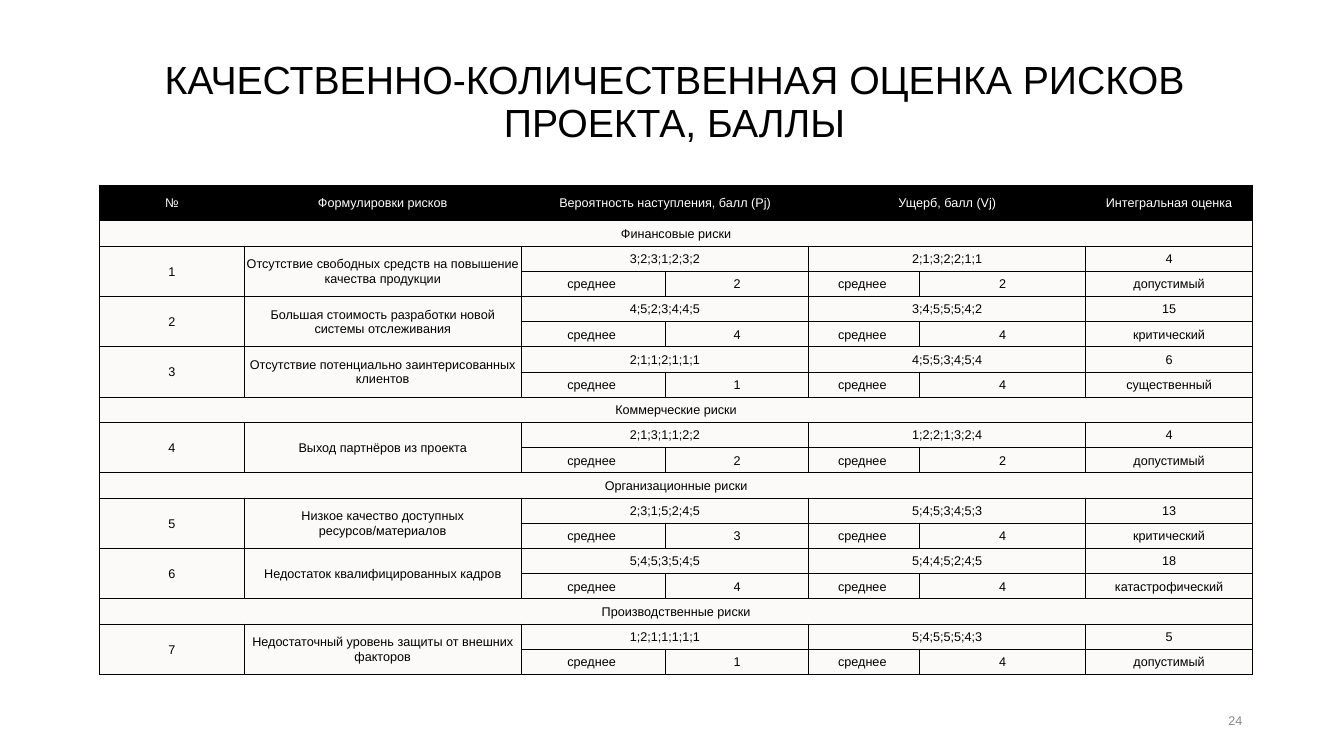
from lxml import etree
from pptx import Presentation
from pptx import util as u
from pptx.dml.color import RGBColor
from pptx.enum import text
from pptx.oxml import ns

BLACK = RGBColor(0x00, 0x00, 0x00)
WHITE = RGBColor(0xFF, 0xFF, 0xFF)
GREY = RGBColor(0x88, 0x88, 0x88)
PAPER = RGBColor(0xFB, 0xFA, 0xF9)

TITLE = "КАЧЕСТВЕННО-КОЛИЧЕСТВЕННАЯ ОЦЕНКА РИСКОВ ПРОЕКТА, БАЛЛЫ"
HEADINGS = ["№", "Формулировки рисков", "Вероятность наступления, балл (Pj)",
            "", "Ущерб, балл (Vj)", "", "Интегральная оценка"]
COLUMN_WIDTHS = [1.43, 2.75, 1.43, 1.42, 1.1, 1.65, 1.65]
HEADER_HEIGHT, ROW_HEIGHT = 0.35, 0.25
MEAN = "среднее "

RISK_GROUPS = {
    "Финансовые риски": [
        ("Отсутствие свободных средств на повышение качества продукции",
         "3;2;3;1;2;3;2", 2, "2;1;3;2;2;1;1", 2, 4, "допустимый"),
        ("Большая стоимость разработки новой системы отслеживания",
         "4;5;2;3;4;4;5", 4, "3;4;5;5;5;4;2", 4, 15, "критический"),
        ("Отсутствие потенциально заинтерисованных клиентов",
         "2;1;1;2;1;1;1", 1, "4;5;5;3;4;5;4", 4, 6, "существенный"),
    ],
    "Коммерческие риски": [
        ("Выход партнёров из проекта",
         "2;1;3;1;1;2;2", 2, "1;2;2;1;3;2;4", 2, 4, "допустимый"),
    ],
    "Организационные риски": [
        ("Низкое качество доступных ресурсов/материалов",
         "2;3;1;5;2;4;5", 3, "5;4;5;3;4;5;3", 4, 13, "критический"),
        ("Недостаток квалифицированных кадров",
         "5;4;5;3;5;4;5", 4, "5;4;4;5;2;4;5", 4, 18, "катастрофический"),
    ],
    "Производственные риски": [
        ("Недостаточный уровень защиты от внешних факторов",
         "1;2;1;1;1;1;1", 1, "5;4;5;5;5;4;3", 4, 5, "допустимый"),
    ],
}


def write(paragraph, content, size, color, align):
    """Put one aligned run of Arial text into a paragraph."""
    paragraph.alignment = align
    run = paragraph.add_run()
    run.text = str(content)
    for name, value in {"name": "Arial", "size": u.Pt(size)}.items():
        setattr(run.font, name, value)
    run.font.color.rgb = color


def add_label(slide, box, content, size, color, align, line_spacing=1.0):
    """Add a wrapped, vertically centred text box."""
    frame = slide.shapes.add_textbox(*map(u.Inches, box)).text_frame
    frame.word_wrap = True
    frame.vertical_anchor = text.MSO_ANCHOR.MIDDLE
    frame.paragraphs[0].line_spacing = line_spacing
    write(frame.paragraphs[0], content, size, color, align)


def add_borders(cell):
    """Draw thin black lines on all four sides of a cell."""
    properties = cell._tc.get_or_add_tcPr()
    for side in ("a:lnL", "a:lnR", "a:lnT", "a:lnB"):
        line = etree.SubElement(properties, ns.qn(side), w=str(u.Pt(0.75)))
        fill = etree.SubElement(line, ns.qn("a:solidFill"))
        etree.SubElement(fill, ns.qn("a:srgbClr"), val=str(BLACK))


def fill_cell(cell, content, fill, color):
    """Format a cell and write its text, if any."""
    add_borders(cell)
    cell.fill.solid()
    cell.fill.fore_color.rgb = fill
    layout = {"margin_left": u.Inches(0.01), "margin_right": u.Inches(0.01),
              "margin_top": u.Inches(0.01), "margin_bottom": 0,
              "vertical_anchor": text.MSO_ANCHOR.MIDDLE}
    for name, value in layout.items():
        setattr(cell, name, value)
    if content != "":
        write(cell.text_frame.paragraphs[0], content, 9, color, text.PP_ALIGN.CENTER)


def build_rows():
    """Return the table's rows and the spans as (row, column, last row, last column)."""
    rows, spans = [HEADINGS], [(0, 2, 0, 3), (0, 4, 0, 5)]
    number = 0
    for group, risks in RISK_GROUPS.items():
        spans.append((len(rows), 0, len(rows), 6))
        rows.append([group] + [""] * 6)
        for risk, chances, chance, damages, damage, score, level in risks:
            number += 1
            top = len(rows)
            spans += [(top, column, top + 1, column) for column in (0, 1)]
            spans += [(top, column, top, column + 1) for column in (2, 4)]
            rows.append([number, risk, chances, "", damages, "", score])
            rows.append(["", "", MEAN, chance, MEAN, damage, level])
    return rows, spans


def add_risk_table(slide):
    """Add the table of risks with its merged cells."""
    rows, spans = build_rows()
    height = HEADER_HEIGHT + ROW_HEIGHT * (len(rows) - 1)
    box = map(u.Inches, (0.99, 1.84, sum(COLUMN_WIDTHS), height))
    table = slide.shapes.add_table(len(rows), len(COLUMN_WIDTHS), *box).table
    table.first_row = table.horz_banding = False
    for column, width in zip(table.columns, COLUMN_WIDTHS):
        column.width = u.Inches(width)
    for index, row in enumerate(rows):
        table.rows[index].height = u.Inches(ROW_HEIGHT if index else HEADER_HEIGHT)
        fill, color = (PAPER, BLACK) if index else (BLACK, WHITE)
        for cell, content in zip(table.rows[index].cells, row):
            fill_cell(cell, content, fill, color)
    for top, left, bottom, right in spans:
        table.cell(top, left).merge(table.cell(bottom, right))


def main():
    """Build the risk assessment slide and save it."""
    deck = Presentation()
    deck.slide_width, deck.slide_height = u.Inches(13.33), u.Inches(7.5)
    slide = deck.slides.add_slide(deck.slide_layouts[6])
    add_label(slide, (0.79, 0.3, 11.8, 1.45), TITLE, 28, BLACK,
              text.PP_ALIGN.CENTER, 0.9)
    add_label(slide, (9.42, 6.95, 3, 0.4), "24", 9, GREY, text.PP_ALIGN.RIGHT)
    add_risk_table(slide)
    deck.save("out.pptx")


if __name__ == "__main__":
    main()
